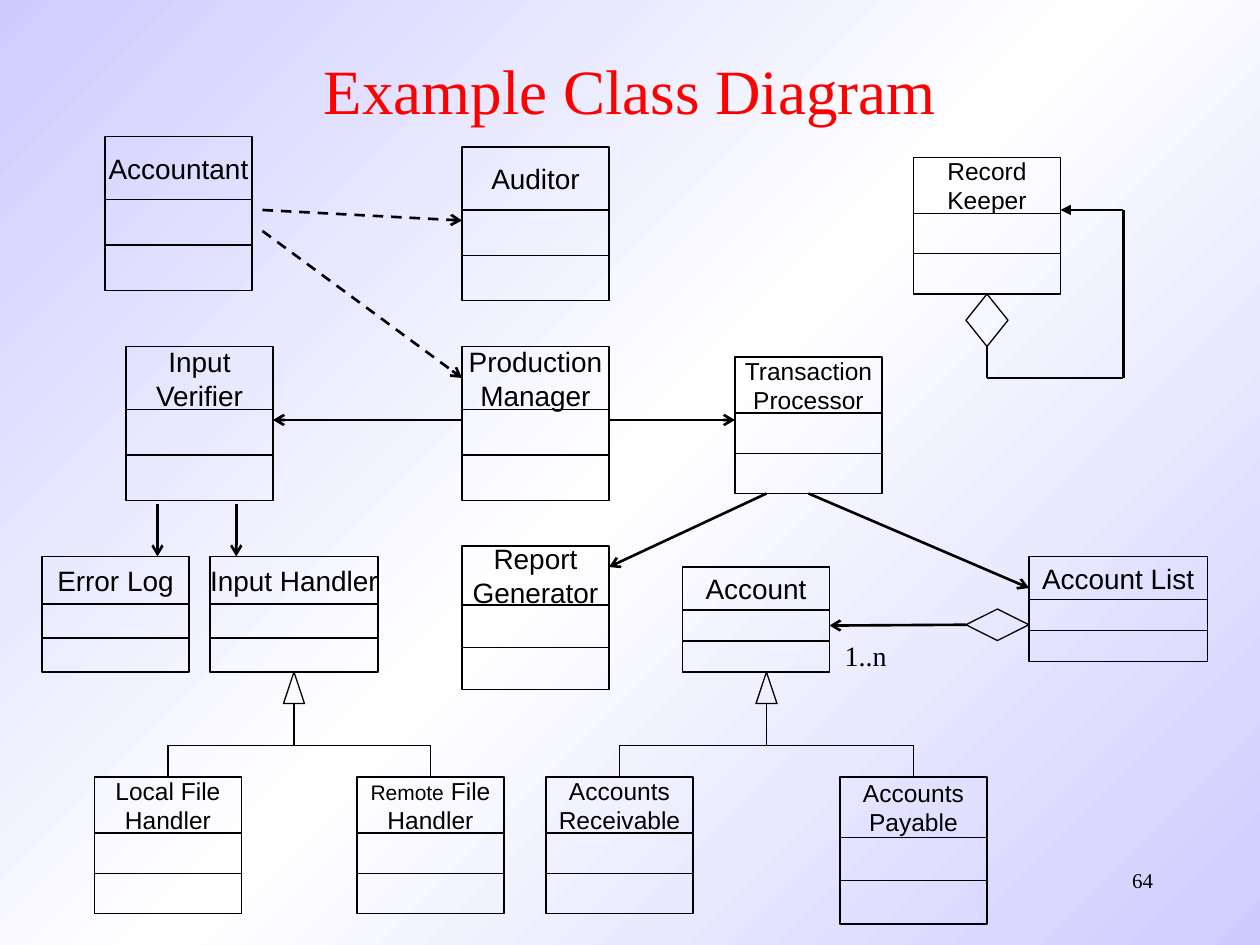
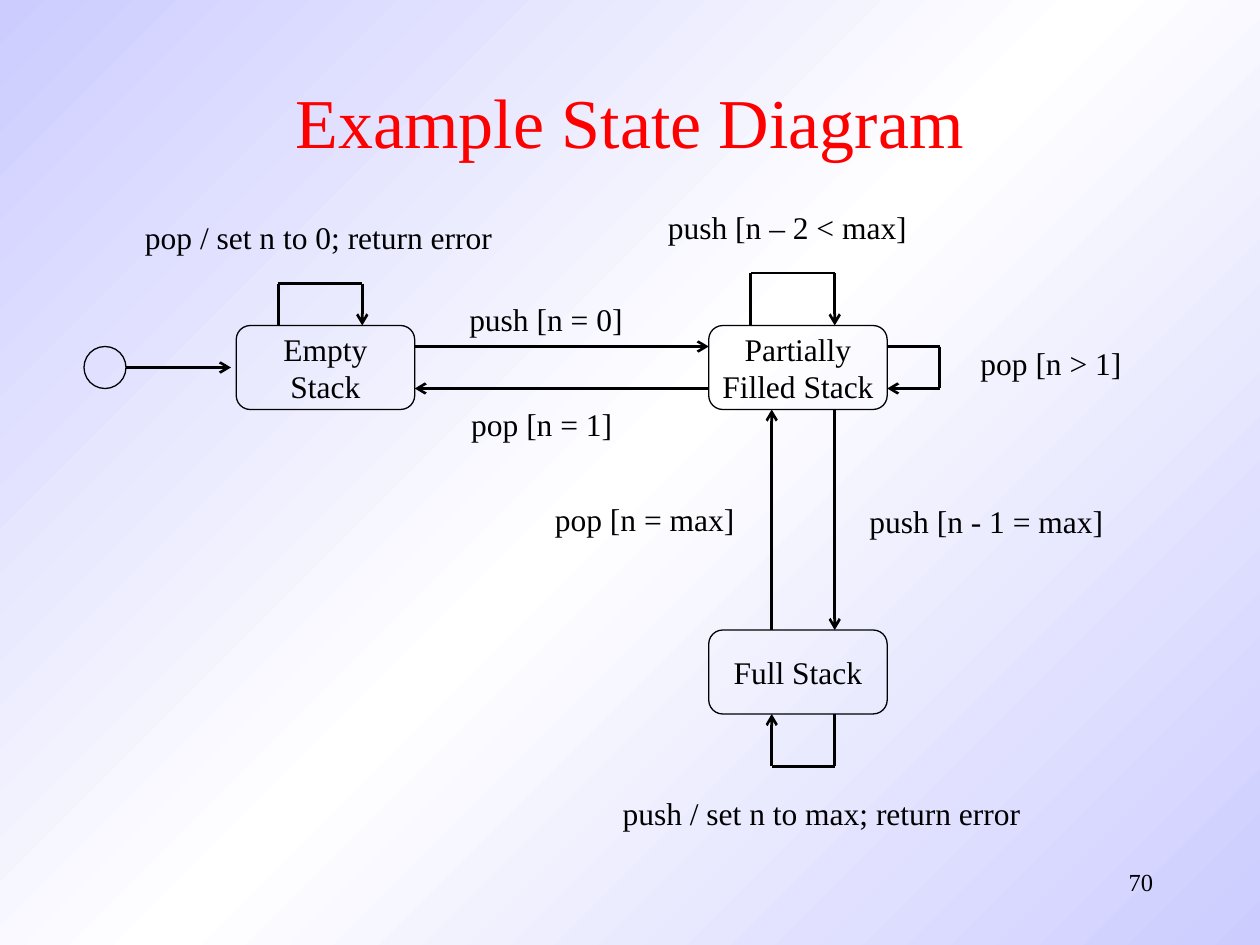
from copy import deepcopy

from lxml import etree
from pptx import Presentation
from pptx.dml.color import RGBColor
from pptx.enum.dml import MSO_LINE
from pptx.enum.shapes import MSO_CONNECTOR, MSO_SHAPE
from pptx.enum.text import MSO_ANCHOR, PP_ALIGN
from pptx.oxml.ns import qn
from pptx.util import Cm, Pt

BLACK = RGBColor(0x00, 0x00, 0x00)
RED = RGBColor(0xFF, 0x00, 0x00)
WHITE = RGBColor(0xFF, 0xFF, 0xFF)
LAVENDER = RGBColor(0xCC, 0xCC, 0xFF)
SERIF, SANS = "Times New Roman", "Arial"
CENTER, RIGHT = PP_ALIGN.CENTER, PP_ALIGN.RIGHT
TOP, MIDDLE = MSO_ANCHOR.TOP, MSO_ANCHOR.MIDDLE
STRAIGHT, DASH = MSO_CONNECTOR.STRAIGHT, MSO_LINE.DASH
RECTANGLE, DIAMOND = MSO_SHAPE.RECTANGLE, MSO_SHAPE.DIAMOND
TRIANGLE, OVAL = MSO_SHAPE.ISOSCELES_TRIANGLE, MSO_SHAPE.OVAL
STATE = MSO_SHAPE.FLOWCHART_ALTERNATE_PROCESS
TOP_SIDE, LEFT_SIDE, BOTTOM_SIDE, RIGHT_SIDE = range(4)
THIN, THICK = 0.75, 1.5
HEADER_SHARE = 0.41  # part of a class box taken by its name

# Name lines, left, top, width, height (grid steps), text size
CLASSES = {
    "accountant": (["Accountant"], 10, 13, 14, 14.65, 16),
    "auditor": (["Auditor"], 44, 14, 14, 14.65, 16),
    "keeper": (["Record", "Keeper"], 87, 15, 14, 13, 14),
    "verifier": (["Input", "Verifier"], 12, 33, 14, 14.65, 16),
    "manager": (["Production", "Manager"], 44, 33, 14, 14.65, 16),
    "processor": (["Transaction", "Processor"], 70, 34, 14, 13, 14),
    "error log": (["Error Log"], 4, 53, 14, 11, 16),
    "input handler": (["Input Handler"], 20, 53, 16, 11, 16),
    "report": (["Report", "Generator"], 44, 52, 14, 13.7, 16),
    "account": (["Account"], 65, 54, 14, 10, 16),
    "account list": (["Account List"], 98, 53, 17, 10, 16),
    "local": (["Local File", "Handler"], 9, 74, 14, 13, 14),
    "remote": ([[("Remote", 12), (" File", 14)], "Handler"], 34, 74, 14, 13, 14),
    "receivable": (["Accounts", "Receivable"], 52, 74, 14, 13, 14),
    "payable": (["Accounts", "Payable"], 80, 74, 14, 14, 14),
}
ASSOCIATIONS = [
    [(58, 40), (70, 40)],
    [(44, 40), (26, 40)],
    [(15, 48), (15, 53)],
    [(22.5, 48), (22.5, 53)],
    [(73, 47), (58, 54)],
    [(77, 47), (98, 56)],
]
STATES = [
    (["Empty", "Stack"], 22.5, 31),
    (["Partially", "Filled Stack"], 67.5, 31),
    (["Full Stack"], 67.5, 60),
]
TRANSITIONS = [
    [(12, 35), (22, 35)],
    [(39.5, 33), (67.5, 33)],
    [(67.5, 37), (39.5, 37)],
    [(73.5, 60), (73.5, 39)],
    [(79.5, 39), (79.5, 60)],
    [(26.5, 31), (26.5, 27), (34.5, 27), (34.5, 31)],
    [(71.5, 31), (71.5, 26), (79.5, 26), (79.5, 31)],
    [(84.5, 33), (89.5, 33), (89.5, 37), (84.5, 37)],
    [(79.5, 68), (79.5, 73), (73.5, 73), (73.5, 68)],
]
# Text, left, top, width
TRANSITION_LABELS = [
    ("pop / set n to 0; return error", 12.6, 20.2, 35.5),
    ("push [n – 2 < max]", 62.4, 19.2, 25.2),
    ("push [n = 0]", 43.5, 28, 17),
    ("pop [n = 1]", 43.7, 38, 15.8),
    ("pop [n > 1]", 92.2, 32.2, 15.8),
    ("pop [n = max]", 51.6, 47, 19.6),
    ("push [n - 1 = max]", 81.6, 47.2, 24.7),
    ("push / set n to max; return error", 58.1, 75, 40.3),
]


def grid(*steps):
    """Turn steps of a twelfth of an inch into lengths."""
    return [Cm(step * 2.54 / 12) for step in steps]


def write(shape, lines, size, font=SERIF, color=BLACK, align=CENTER,
          anchor=MIDDLE, wrap=False):
    """Fill a shape with lines; a line is a string or a list of (text, size)."""
    frame = shape.text_frame
    frame.word_wrap = wrap
    frame.vertical_anchor = anchor
    for number, line in enumerate(lines):
        paragraph = frame.add_paragraph() if number else frame.paragraphs[0]
        paragraph.alignment = align
        for text, run_size in [(line, size)] if isinstance(line, str) else line:
            run = paragraph.add_run()
            run.text = text
            run.font.color.rgb = color
            for name, value in {"name": font, "size": Pt(run_size)}.items():
                setattr(run.font, name, value)


def add_label(slide, lines, box, size, **formats):
    write(slide.shapes.add_textbox(*grid(*box)), lines, size, **formats)


def add_outline(shapes, kind, *box):
    """Add an unfilled shape with a thin black line."""
    shape = shapes.add_shape(kind, *grid(*box))
    shape.shadow.inherit = False
    shape.fill.background()
    shape.line.color.rgb = BLACK
    shape.line.width = Pt(THIN)
    return shape


def add_line(slide, start, end, width=THICK, head=None, dash=None):
    line = slide.shapes.add_connector(STRAIGHT, *grid(*start, *end))
    line.line.color.rgb = BLACK
    line.line.width = Pt(width)
    if dash:
        line.line.dash_style = dash
    properties = line._element.spPr
    if head:
        etree.SubElement(properties.find(qn("a:ln")), qn("a:tailEnd"), type=head)
    etree.SubElement(properties, qn("a:effectLst"))
    return line


def add_route(slide, points, head="arrow"):
    """Draw straight lines through the points, with an arrowhead at the last."""
    last = len(points) - 2
    return [add_line(slide, start, end, head=head if leg == last else None)
            for leg, (start, end) in enumerate(zip(points, points[1:]))]


def add_class(slide, lines, left, top, width, height, size):
    """Add a class box and return its name, attribute and operation parts."""
    group = slide.shapes.add_group_shape()
    header = height * HEADER_SHARE
    rest = (height - header) / 2
    parts = [add_outline(group.shapes, RECTANGLE, left, top + offset, width, part)
             for offset, part in ((0, header), (header, rest), (header + rest, rest))]
    write(parts[0], lines, size, font=SANS)
    return parts


def add_inheritance(slide, x, children):
    """Hang child classes, given as (middle, name part), under a triangle at x."""
    add_outline(slide.shapes, TRIANGLE, x - 1, 64, 2, 3)
    add_line(slide, (x, 67), (x, 71), THIN)
    middles = [middle for middle, _ in children]
    add_line(slide, (min(middles), 71), (max(middles), 71), THIN)
    for middle, name_part in children:
        add_line(slide, (middle, 71), (middle, 74), THIN).end_connect(name_part, TOP_SIDE)


def set_background(master):
    fill = master.background.fill
    fill.gradient()
    fill.gradient_angle = 315
    stop_list = next(master.element.iter(qn("a:gsLst")))
    stop_list.append(deepcopy(stop_list[0]))
    shades = ((0, LAVENDER), (0.5, WHITE), (1, LAVENDER))
    for stop, (position, color) in zip(fill.gradient_stops, shades):
        stop.position = position
        stop.color.rgb = color


def start_slide(prs, title, title_top, title_size, number, number_size):
    slide = prs.slides.add_slide(prs.slide_layouts[6])
    add_label(slide, [title], (9, title_top, 102, 15), title_size, color=RED, wrap=True)
    add_label(slide, [number], (86, 82, 25, 6), number_size, align=RIGHT,
              anchor=TOP, wrap=True)
    return slide


def build_class_diagram(prs):
    slide = start_slide(prs, "Example Class Diagram", 1, 36, "64", 12)
    parts = {key: add_class(slide, *entry) for key, entry in CLASSES.items()}

    add_line(slide, (25, 20), (44, 21), head="arrow", dash=DASH)
    to_manager = add_line(slide, (25, 22), (44, 36), head="arrow", dash=DASH)
    to_manager.end_connect(parts["manager"][0], LEFT_SIDE)
    for points in ASSOCIATIONS:
        add_route(slide, points)

    list_diamond = add_outline(slide.shapes, DIAMOND, 92, 58, 6, 3)
    to_account = add_line(slide, (92, 59.5), (79, 59.5), head="arrow")
    to_account.begin_connect(list_diamond, LEFT_SIDE)
    to_account.end_connect(parts["account"][1], RIGHT_SIDE)
    add_label(slide, ["1..n"], (79.2, 60.2, 6.5, 4.4), 16, anchor=TOP)

    keeper_diamond = add_outline(slide.shapes, DIAMOND, 92, 28, 4, 5)
    keeper_loop = add_route(
        slide, [(94, 33), (94, 36), (107, 36), (107, 20), (101, 20)], "triangle")
    keeper_loop[0].begin_connect(keeper_diamond, BOTTOM_SIDE)

    for x, names in ((28, ("local", "remote")), (73, ("receivable", "payable"))):
        children = []
        for name in names:
            _, left, _, width, _, _ = CLASSES[name]
            children.append((left + width / 2, parts[name][0]))
        add_inheritance(slide, x, children)


def build_state_diagram(prs):
    slide = start_slide(prs, "Example State Diagram", 4, 40, "70", 14)
    for lines, left, top in STATES:
        write(add_outline(slide.shapes, STATE, left, top, 17, 8), lines, 18)
    add_outline(slide.shapes, OVAL, 8, 33, 4, 4)
    for points in TRANSITIONS:
        add_route(slide, points)
    for text, left, top, width in TRANSITION_LABELS:
        add_label(slide, [text], (left, top, width, 4.8), 18, anchor=TOP)


def main():
    prs = Presentation()
    prs.slide_width, prs.slide_height = grid(120, 90)
    set_background(prs.slide_master)
    build_class_diagram(prs)
    build_state_diagram(prs)
    prs.save("out.pptx")


if __name__ == "__main__":
    main()
